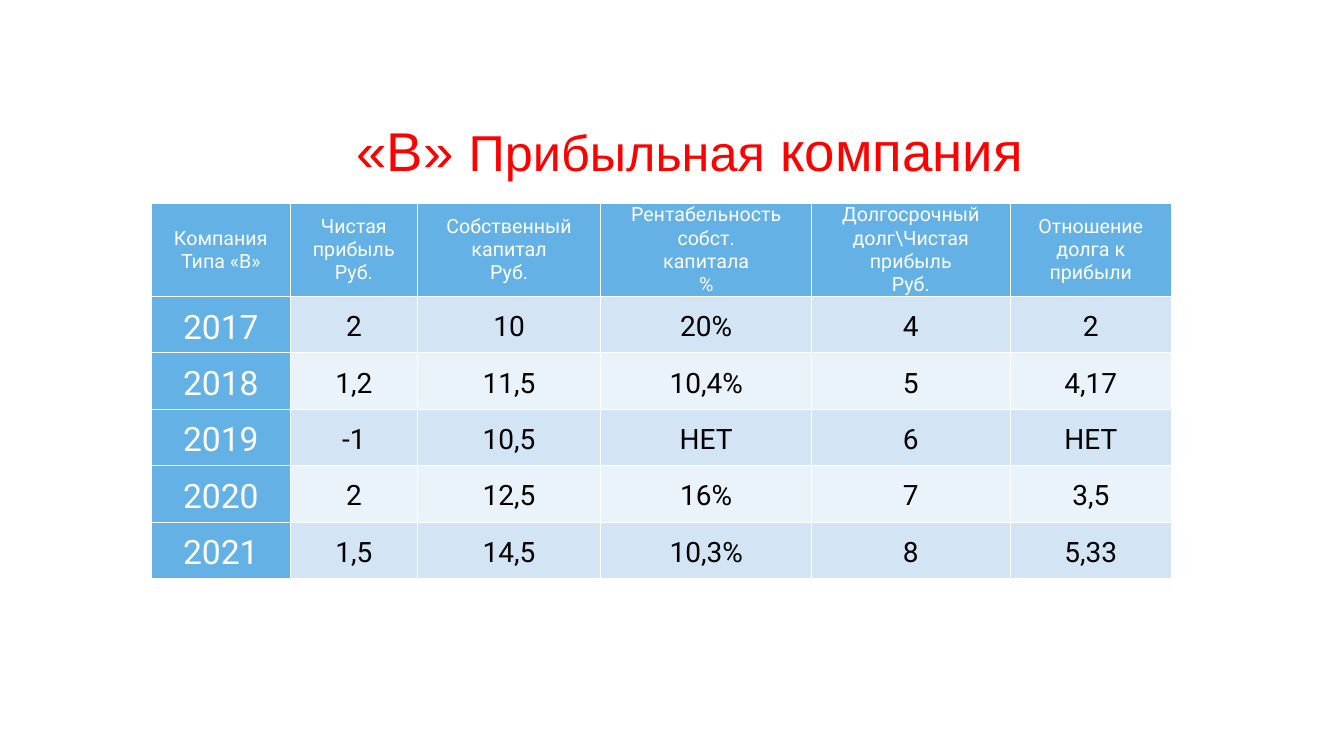
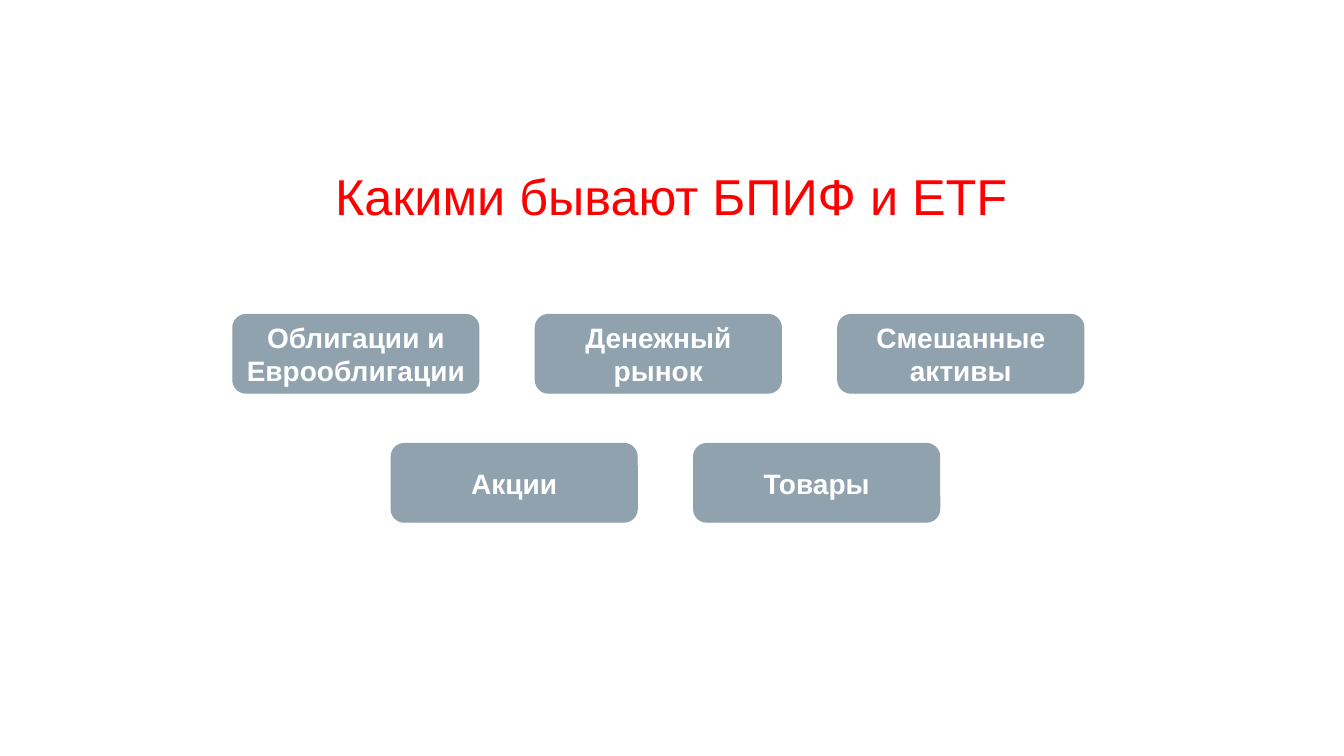
from dataclasses import dataclass

from lxml.etree import SubElement
from pptx import Presentation
from pptx.dml.color import RGBColor
from pptx.enum.shapes import MSO_SHAPE
from pptx.enum.text import MSO_ANCHOR, MSO_AUTO_SIZE, PP_ALIGN
from pptx.oxml.ns import qn
from pptx.util import Inches, Pt


@dataclass(frozen=True)
class Theme:
    title_color: str = "FF0000"
    header_fill: str = "63B1E5"
    band_fills: tuple = ("D3E4F5", "EAF2FA")
    card_fill: str = "91A2AF"
    light: str = "FFFFFF"
    dark: str = "000000"
    font: str = "Arial"
    table_font: str = "Roboto"
    title_size: int = 36
    title_large: int = 39
    header_size: int = 14
    year_size: int = 24
    body_size: int = 20


THEME = Theme()

# Content
COMPANY_TITLE = [("«В» ", THEME.title_large), ("Прибыльная", THEME.title_size),
                 (" компания", THEME.title_large)]
HEADERS = [
    ["Компания", "Типа «В»"],
    ["Чистая прибыль", "Руб."],
    ["Собственный капитал", "Руб."],
    ["Рентабельность собст.", "капитала", "%"],
    ["Долгосрочный долг\\Чистая прибыль", "Руб."],
    ["Отношение", "долга к прибыли"],
]
YEARS = [
    ["2017", "2", "10", "20%", "4", "2"],
    ["2018", "1,2", "11,5", "10,4%", "5", "4,17"],
    ["2019", "-1", "10,5", "НЕТ", "6", "НЕТ"],
    ["2020", "2", "12,5", "16%", "7", "3,5"],
    ["2021", "1,5", "14,5", "10,3%", "8", "5,33"],
]
COLUMN_WIDTHS = [1.38, 1.26, 1.82, 2.09, 1.97, 1.6]
HEADER_HEIGHT, YEAR_HEIGHT = 0.92, 0.56

FUNDS_TITLE = [("Какими бывают БПИФ и ETF", THEME.title_size)]
FUND_ROWS = [  # left edge, top edge, labels
    (2.31, 3.12, ["Облигации и Еврооблигации", "Денежный рынок", "Смешанные активы"]),
    (3.88, 4.4, ["Акции", "Товары"]),
]
CARD_WIDTH, CARD_HEIGHT, CARD_PITCH = 2.44, 0.78, 3.0


def rgb(value):
    return RGBColor.from_string(value)


def add_span(para, text, size, color, font=THEME.font, bold=False):
    para.alignment = PP_ALIGN.CENTER
    span = para.add_run()
    span.text = text
    span.font.name = font
    span.font.size = Pt(size)
    span.font.bold = bold
    span.font.color.rgb = rgb(color)


def add_page(deck, title_spans, left, top, width, height):
    page = deck.slides.add_slide(deck.slide_layouts[5])
    title = page.shapes.title
    title.left, title.top = Inches(left), Inches(top)
    title.width, title.height = Inches(width), Inches(height)
    frame = title.text_frame
    frame.auto_size = MSO_AUTO_SIZE.NONE
    frame.word_wrap = True
    frame.vertical_anchor = MSO_ANCHOR.MIDDLE
    frame.margin_top = frame.margin_bottom = Inches(0.05)
    for text, size in title_spans:
        add_span(frame.paragraphs[0], text, size, THEME.title_color)
    return page


def set_borders(cell):
    properties = cell._tc.get_or_add_tcPr()
    for position, side in enumerate(("lnL", "lnR", "lnT", "lnB")):
        line = SubElement(properties, qn(f"a:{side}"), w=str(Pt(1)))
        fill = SubElement(line, qn("a:solidFill"))
        SubElement(fill, qn("a:srgbClr"), val=THEME.light)
        properties.insert(position, line)


def fill_cell(cell, lines, fill, size, color, spaced):
    cell.margin_left = cell.margin_right = Inches(0.07)
    cell.margin_top = cell.margin_bottom = 0
    cell.vertical_anchor = MSO_ANCHOR.MIDDLE
    cell.fill.solid()
    cell.fill.fore_color.rgb = rgb(fill)
    set_borders(cell)
    frame = cell.text_frame
    for index, text in enumerate(lines):
        para = frame.paragraphs[0] if index == 0 else frame.add_paragraph()
        if spaced:
            para.line_spacing = 1.15
            para.space_after = Pt(10)
        add_span(para, text, size, color, THEME.table_font)


def add_company_table(page):
    heights = [HEADER_HEIGHT] + [YEAR_HEIGHT] * len(YEARS)
    table = page.shapes.add_table(
        len(heights), len(HEADERS), Inches(1.5), Inches(2.02),
        Inches(sum(COLUMN_WIDTHS)), Inches(sum(heights))).table
    for column, width in zip(table.columns, COLUMN_WIDTHS):
        column.width = Inches(width)
    for row, height in zip(table.rows, heights):
        row.height = Inches(height)

    for column, lines in enumerate(HEADERS):
        fill_cell(table.cell(0, column), lines, THEME.header_fill,
                  THEME.header_size, THEME.light, spaced=False)
    for row, values in enumerate(YEARS, start=1):
        band = THEME.band_fills[(row - 1) % 2]
        for column, value in enumerate(values):
            style = ((THEME.header_fill, THEME.year_size, THEME.light) if column == 0
                     else (band, THEME.body_size, THEME.dark))
            fill_cell(table.cell(row, column), [value], *style, spaced=True)


def add_card(page, label, left, top):
    card = page.shapes.add_shape(
        MSO_SHAPE.ROUNDED_RECTANGLE, Inches(left), Inches(top),
        Inches(CARD_WIDTH), Inches(CARD_HEIGHT))
    card.shadow.inherit = False
    card.fill.solid()
    card.fill.fore_color.rgb = rgb(THEME.card_fill)
    card.line.color.rgb = rgb(THEME.card_fill)
    card.line.width = Pt(0.85)
    frame = card.text_frame
    frame.word_wrap = True
    frame.vertical_anchor = MSO_ANCHOR.MIDDLE
    add_span(frame.paragraphs[0], label, THEME.body_size, THEME.light, bold=True)


def main():
    deck = Presentation()
    deck.slide_width, deck.slide_height = Inches(13.33), Inches(7.5)

    # Company results by year
    page = add_page(deck, COMPANY_TITLE, 1.73, 1.1, 10.22, 0.77)
    add_company_table(page)

    # Kinds of funds
    page = add_page(deck, FUNDS_TITLE, 1.61, 1.55, 10.1, 0.78)
    for left, top, labels in FUND_ROWS:
        for index, label in enumerate(labels):
            add_card(page, label, left + index * CARD_PITCH, top)

    deck.save("out.pptx")


if __name__ == "__main__":
    main()
